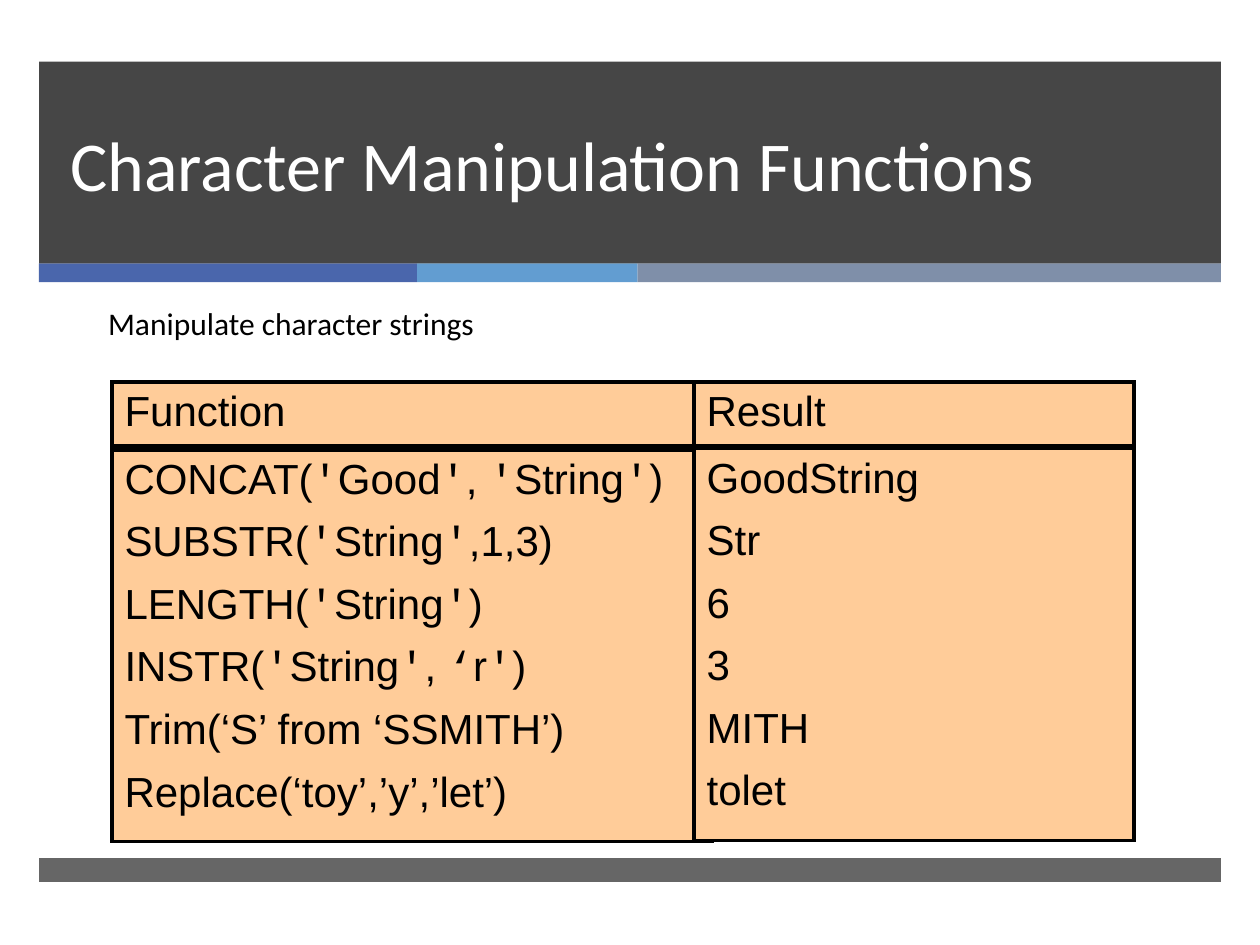
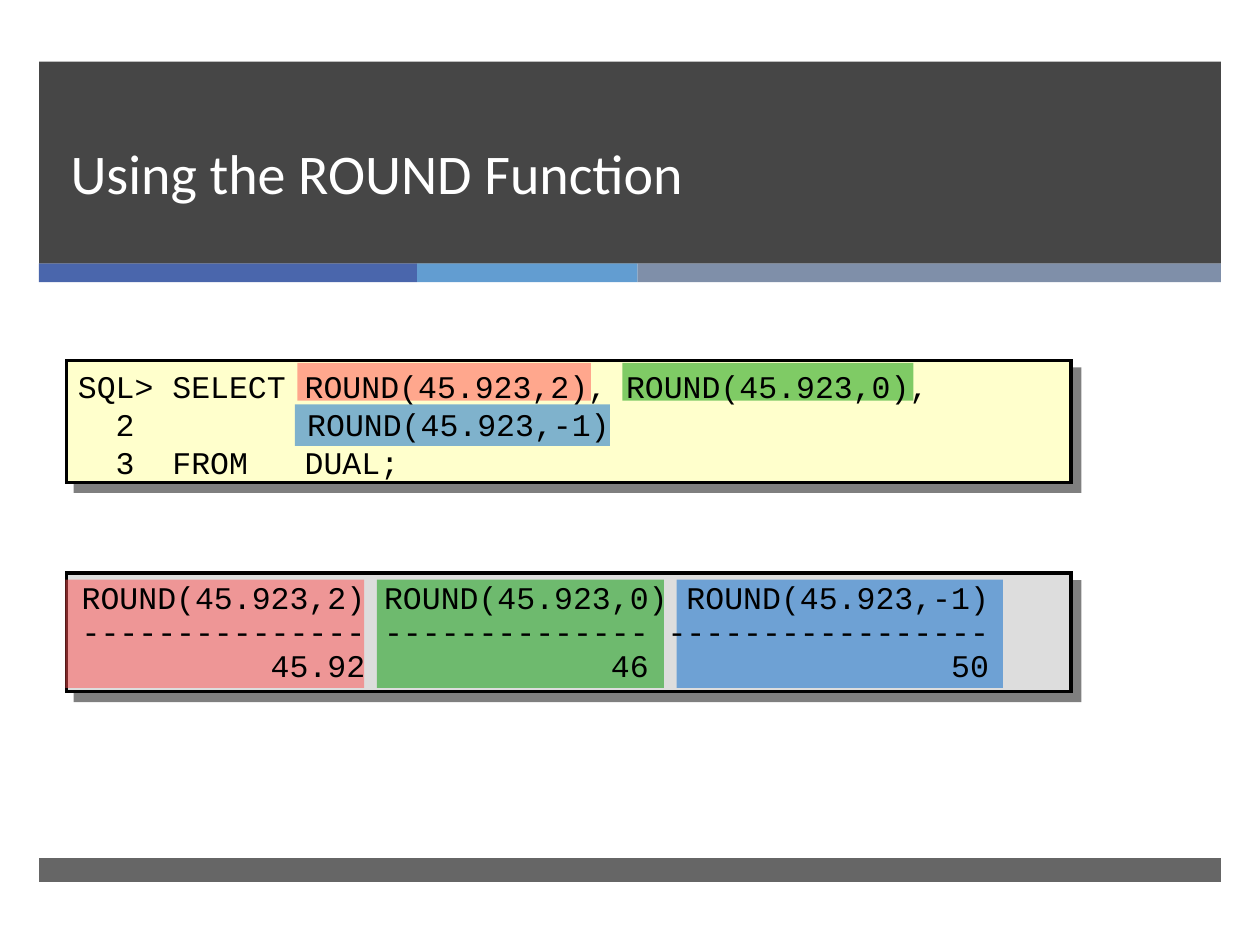
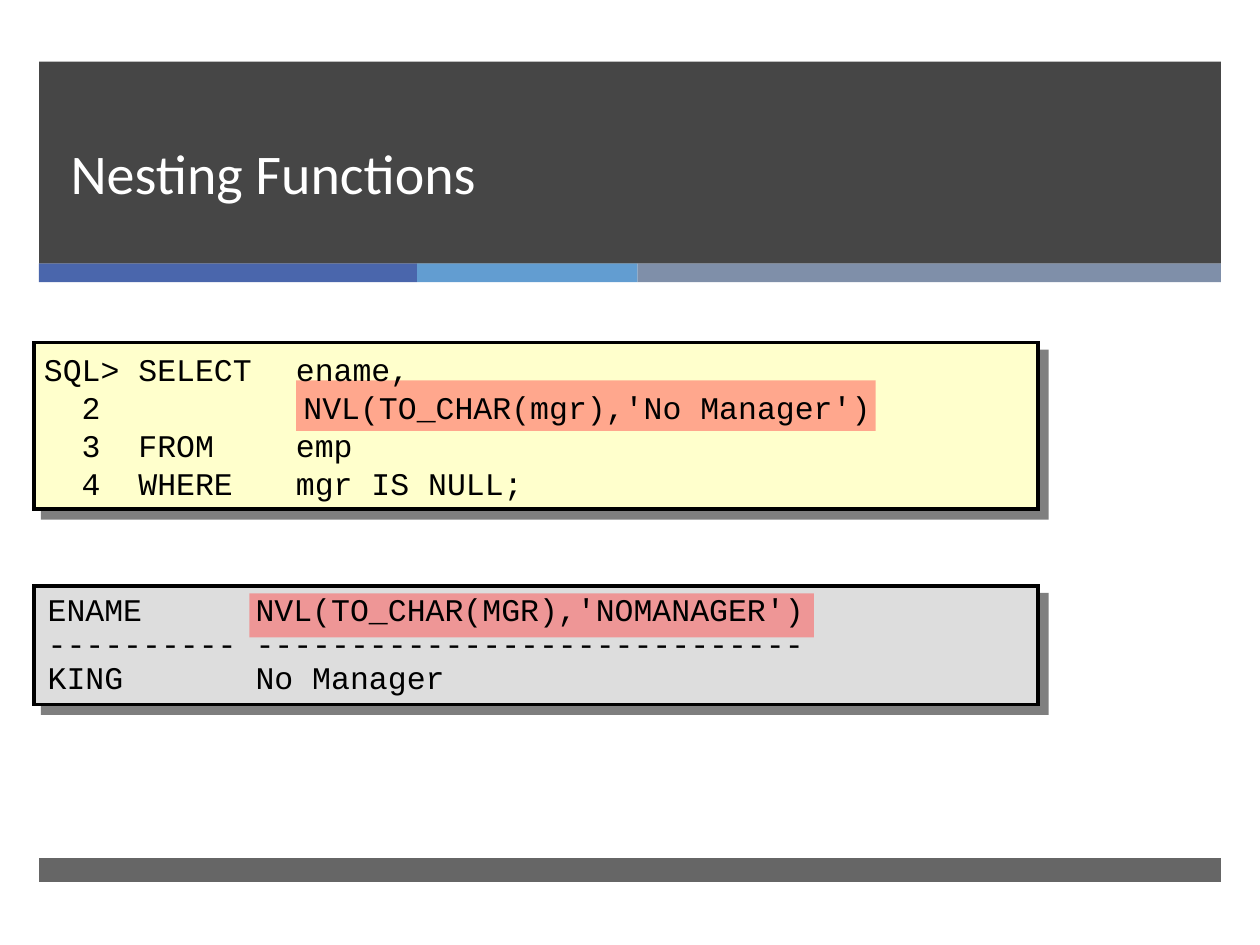
from itertools import groupby

from lxml import etree
from pptx import Presentation
from pptx.dml.color import RGBColor
from pptx.enum.shapes import MSO_SHAPE as Shape
from pptx.enum.text import MSO_ANCHOR as Anchor, MSO_AUTO_SIZE as Fit, PP_ALIGN as Align
from pptx.oxml.ns import qn
from pptx.util import Inches, Pt

BLACK, WHITE, DARK = "000000", "FFFFFF", "262626"
CODE, OUTPUT, PEACH = "FFFFCC", "DDDDDD", "FFCC99"
RED, GREEN, BLUE = "FF5050", "009900", "0066CC"
SANS, ARIAL, MONO = "Calibri", "Arial", "Courier New"


def box(slide, at, fill, alpha=100, edge=False, shade=False):
    """Add a rectangle, with alpha in percent and an optional black edge and drop shadow."""
    rect = slide.shapes.add_shape(Shape.RECTANGLE, *map(Inches, at))
    rect.shadow.inherit = False
    rect.fill.solid()
    rect.fill.fore_color.rgb = RGBColor.from_string(fill)
    props = rect.element.spPr
    if alpha < 100:
        color = props.find(".//" + qn("a:srgbClr"))
        etree.SubElement(color, qn("a:alpha"), val=str(alpha * 1000))
    if edge:
        rect.line.color.rgb = RGBColor.from_string(BLACK)
        rect.line.width = Pt(2)
        etree.SubElement(props.find(qn("a:ln")), qn("a:miter"), lim="800000")
    else:
        rect.line.fill.background()
    if shade:
        drop = etree.SubElement(props.find(qn("a:effectLst")), qn("a:outerShdw"),
                                dist=str(Pt(7.1)), dir="2700000", algn="ctr", rotWithShape="0")
        color = etree.SubElement(drop, qn("a:srgbClr"), val=BLACK)
        etree.SubElement(color, qn("a:alpha"), val="50000")
    return rect


def write(shape, lines, font, size, color=BLACK, anchor=Anchor.TOP, tabs=(), **gaps):
    """Fill a shape with lines; beside straight quotes, quote marks are set in the code font."""
    frame = shape.text_frame
    look = {"word_wrap": True, "auto_size": Fit.NONE, "vertical_anchor": anchor}
    for name, value in look.items():
        setattr(frame, name, value)
    for i, line in enumerate(lines):
        para = frame.paragraphs[0] if i == 0 else frame.add_paragraph()
        para.alignment = Align.LEFT
        for name, value in gaps.items():
            if i or name != "space_before":
                setattr(para, name, value)
        if tabs:
            stops = etree.SubElement(para._p.get_or_add_pPr(), qn("a:tabLst"))
            for stop in tabs:
                etree.SubElement(stops, qn("a:tab"), pos=str(Inches(stop)), algn="l")
        marks = "'‘" if "'" in line else ""
        for quote, chars in groupby(line, lambda char: char in marks):
            run = para.add_run()
            run.text = "".join(chars)
            run.font.name = MONO if quote else font
            run.font.size = Pt(size)
            run.font.color.rgb = RGBColor.from_string(color)


deck = Presentation()
deck.slide_width, deck.slide_height = Inches(10), Inches(7.5)
layout = deck.slide_layouts[5]

# Titles
slides = []
for title, size in [("Character Manipulation Functions", 40),
                    ("Using the ROUND Function", 32),
                    ("Nesting Functions", 32)]:
    slide = deck.slides.add_slide(layout)
    head = slide.shapes.title
    head.left, head.top, head.width, head.height = map(Inches, (0.46, 0.49, 8.54, 1.19))
    write(head, [title], SANS, size, WHITE, Anchor.BOTTOM, line_spacing=Pt(46))
    slides.append(slide)
strings, rounding, nesting = slides

# Bands, shared through the layout
for at, fill, alpha in [((0.31, 0.49, 9.38, 1.6), DARK, 85),
                        ((0.31, 2.09, 3, 0.15), "4A66AC", 100),
                        ((3.31, 2.09, 1.75, 0.15), "629DD1", 100),
                        ((5.06, 2.09, 4.63, 0.15), "7F8FA9", 100),
                        ((0.31, 6.81, 9.38, 0.19), DARK, 70)]:
    band = box(strings, at, fill, alpha)
    layout.shapes.element.insert(2, band.element)

# Character functions
calls = ["CONCAT('Good', 'String')", "SUBSTR('String',1,3)", "LENGTH('String')",
         "INSTR('String', ‘r')", "Trim(‘S’ from ‘SSMITH’)", "Replace(‘toy’,’y’,’let’)"]
results = ["GoodString", "Str", "6", "3", "MITH", "tolet"]
for at, lines in [((0.89, 3.57, 4.76, 3.11), calls),
                  ((5.51, 3.56, 3.49, 3.11), results),
                  ((0.89, 3.03, 4.64, 0.51), ["Function"]),
                  ((5.51, 3.03, 3.49, 0.51), ["Result"])]:
    write(box(strings, at, PEACH, edge=True), lines, ARIAL, 24,
          line_spacing=0.95, space_before=Pt(8.4))
intro = strings.shapes.add_textbox(*map(Inches, (0.76, 2.36, 9.06, 0.55)))
write(intro, ["Manipulate character strings"], SANS, 18)

# Queries and their output
panels = [
    (rounding, (0.53, 4.55, 7.97, 0.94), OUTPUT), (rounding, (0.53, 2.86, 7.97, 0.97), CODE),
    (nesting, (0.27, 2.72, 7.97, 1.32), CODE), (nesting, (0.27, 4.65, 7.97, 0.94), OUTPUT),
]
for slide, at, fill in panels:
    box(slide, at, fill, edge=True, shade=True)

lights = [
    (rounding, RED, (0.52, 4.6, 2.37, 0.86)), (rounding, RED, (2.36, 2.88, 2.33, 0.3)),
    (rounding, GREEN, (2.99, 4.6, 2.28, 0.86)), (rounding, GREEN, (4.94, 2.88, 2.31, 0.3)),
    (rounding, BLUE, (5.37, 4.6, 2.59, 0.86)), (rounding, BLUE, (2.34, 3.21, 2.5, 0.33)),
    (nesting, RED, (2.35, 3.02, 4.6, 0.4)), (nesting, RED, (1.98, 4.71, 4.48, 0.35)),
]
for slide, fill, at in lights:
    box(slide, at, fill, 50)

query = {"anchor": Anchor.MIDDLE}
output = {"line_spacing": 0.9}
listings = [
    (rounding, (0.52, 2.5, 8, 1.73), query, (1.31, 1.82), [
        "SQL> SELECT ROUND(45.923,2), ROUND(45.923,0),",
        "  2  \t\tROUND(45.923,-1)",
        "  3  FROM   DUAL;"]),
    (rounding, (0.55, 4.57, 7.94, 0.91), output, (1.31,), [
        "ROUND(45.923,2) ROUND(45.923,0) ROUND(45.923,-1)",
        "--------------- -------------- -----------------",
        "          45.92             46                50"]),
    (nesting, (0.25, 2.58, 8, 1.6), query, (1.31, 2), [
        "SQL> SELECT\tename,",
        "  2\t     NVL(TO_CHAR(mgr),'No Manager')",
        "  3  FROM\temp",
        "  4  WHERE\tmgr IS NULL;"]),
    (nesting, (0.28, 4.67, 7.94, 0.91), output, (1.31,), [
        "ENAME      NVL(TO_CHAR(MGR),'NOMANAGER')",
        "---------- -----------------------------",
        "KING       No Manager"]),
]
for slide, at, style, tabs, lines in listings:
    text = slide.shapes.add_textbox(*map(Inches, at))
    write(text, lines, MONO, 18, tabs=tabs, **style)

deck.save("out.pptx")
